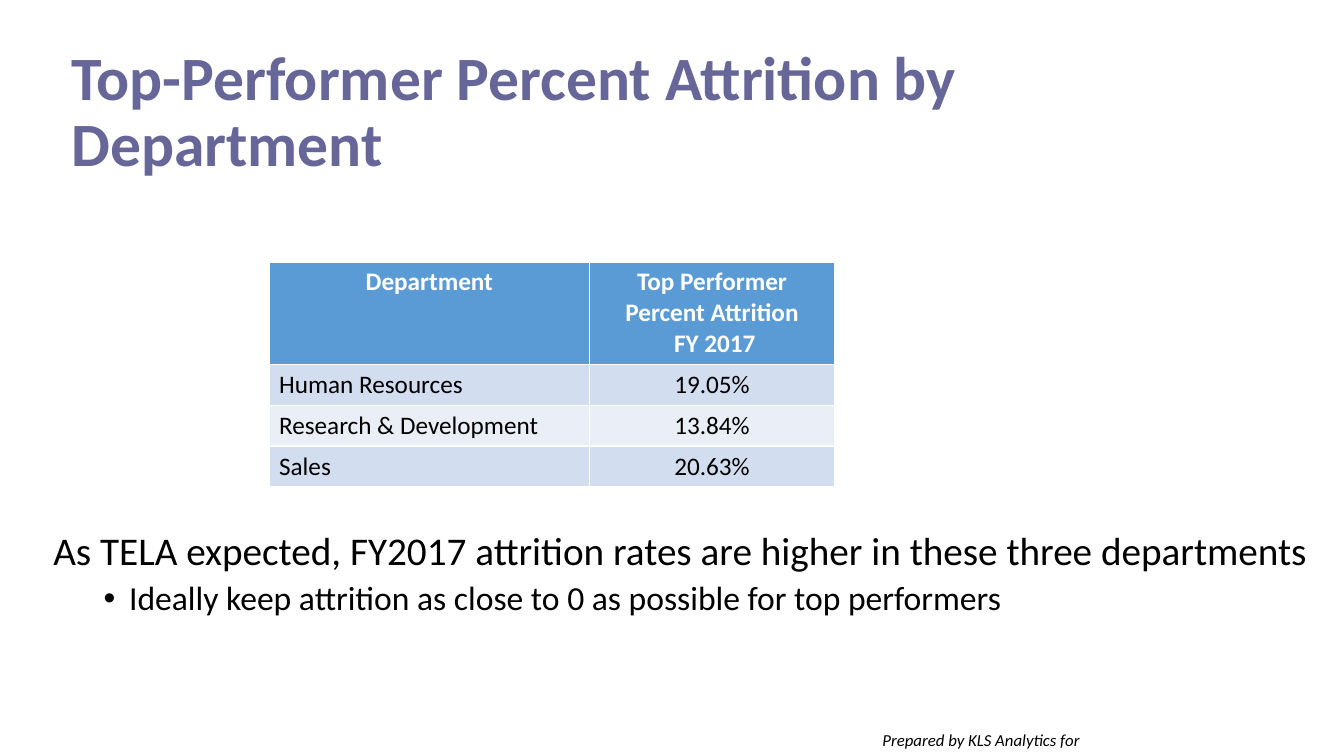
from dataclasses import dataclass

from lxml import etree
from pptx import Presentation
from pptx.dml.color import RGBColor
from pptx.enum.text import MSO_ANCHOR, MSO_AUTO_SIZE, PP_ALIGN
from pptx.oxml.ns import qn
from pptx.util import Cm, Pt

LEFT, CENTER, RIGHT = PP_ALIGN.LEFT, PP_ALIGN.CENTER, PP_ALIGN.RIGHT
TOP, MIDDLE = MSO_ANCHOR.TOP, MSO_ANCHOR.MIDDLE
NO_FIT = MSO_AUTO_SIZE.NONE

HEADLINE = "Top-Performer Percent Attrition by Department"
ATTRITION = [
    ("Department", "Top Performer Percent Attrition\n FY 2017"),
    ("Human Resources", "19.05%"),
    ("Research & Development", "13.84%"),
    ("Sales", "20.63%"),
]
FINDINGS = [
    "As TELA expected, FY2017 attrition rates are higher in these three departments",
    "Ideally keep attrition as close to 0 as possible for top performers",
]
CREDIT = "Prepared by KLS Analytics for "

SLIDE_SIZE = (33.87, 19.05)
HEADLINE_BOX = (1.55, 1.02, 30, 3.68)
FINDINGS_BOX = (1.09, 13.28, 32.23, 3.86)
TABLE_BOX = (6.78, 6.6, 14.25, 5.64)
CREDIT_BOX = (17.27, 18.26, 10.29, 0.77)
COLUMN_WIDTHS = (8.08, 6.17)
HEADER_HEIGHT, ROW_HEIGHT = 2.55, 1.03
BULLET_MARGIN, BULLET_HANG = 1.91, 0.64


@dataclass(frozen=True)
class Theme:
    font: str = "Calibri"
    accent: str = "666699"
    ink: str = "000000"
    header: str = "5B9BD5"
    header_ink: str = "FFFFFF"
    bands: tuple = ("D2DEEF", "EAEFF7")
    headline_size: int = 44
    findings_sizes: tuple = (28, 24)
    table_size: int = 18
    credit_size: int = 12


THEME = Theme()


def assign(target, values):
    for name, value in values.items():
        setattr(target, name, value)


def place(part, box):
    assign(part, dict(zip(("left", "top", "width", "height"), map(Cm, box))))


def style(paragraph, size, color, bold=False, italic=False, **layout):
    assign(paragraph, layout)
    for run in paragraph.runs:
        assign(run.font, {"name": THEME.font, "size": Pt(size), "bold": bold, "italic": italic})
        run.font.color.rgb = RGBColor.from_string(color)


def set_bullet(paragraph, margin, hang, symbol):
    properties = paragraph._p.get_or_add_pPr()
    properties.set("marL", str(Cm(margin)))
    properties.set("indent", str(-Cm(hang)))
    if symbol:
        font = etree.SubElement(properties, qn("a:buFont"))
        font.set("typeface", "Arial")
        etree.SubElement(properties, qn("a:buChar")).set("char", symbol)
    else:
        etree.SubElement(properties, qn("a:buNone"))


def add_headline(slide):
    headline = slide.shapes.title
    place(headline, HEADLINE_BOX)
    headline.text = HEADLINE
    assign(headline.text_frame,
           {"vertical_anchor": MIDDLE, "word_wrap": True, "auto_size": NO_FIT})
    style(headline.text_frame.paragraphs[0], THEME.headline_size, THEME.accent,
          bold=True, alignment=LEFT, line_spacing=0.9)


def add_findings(slide):
    findings = slide.placeholders[1]
    place(findings, FINDINGS_BOX)
    findings.text = "\n".join(FINDINGS)
    assign(findings.text_frame,
           {"vertical_anchor": TOP, "word_wrap": True, "auto_size": NO_FIT})
    bullets = ((0, 0, None), (BULLET_MARGIN, BULLET_HANG, "•"))
    for level, finding in enumerate(findings.text_frame.paragraphs):
        style(finding, THEME.findings_sizes[level], THEME.ink, level=level,
              alignment=LEFT, line_spacing=0.9, space_before=Pt((10, 5)[level]))
        set_bullet(finding, *bullets[level])


def add_attrition_table(slide):
    table = slide.shapes.add_table(
        len(ATTRITION), len(COLUMN_WIDTHS), *map(Cm, TABLE_BOX)).table
    for column, width in zip(table.columns, COLUMN_WIDTHS):
        column.width = Cm(width)
    for row, entries in enumerate(ATTRITION):
        is_header = row == 0
        table.rows[row].height = Cm(HEADER_HEIGHT if is_header else ROW_HEIGHT)
        fill = THEME.header if is_header else THEME.bands[(row - 1) % 2]
        ink = THEME.header_ink if is_header else THEME.ink
        for column, entry in enumerate(entries):
            cell = table.cell(row, column)
            cell.text = entry
            cell.fill.solid()
            cell.fill.fore_color.rgb = RGBColor.from_string(fill)
            for line in cell.text_frame.paragraphs:
                style(line, THEME.table_size, ink, bold=is_header,
                      alignment=CENTER if is_header or column else LEFT)


def add_credit(slide):
    credit = slide.shapes.add_textbox(*map(Cm, CREDIT_BOX)).text_frame
    assign(credit, {"word_wrap": True, "text": CREDIT})
    style(credit.paragraphs[0], THEME.credit_size, THEME.ink, italic=True, alignment=RIGHT)


def main():
    """Build the slide on top-performer attrition by department."""
    deck = Presentation()
    assign(deck, dict(zip(("slide_width", "slide_height"), map(Cm, SLIDE_SIZE))))
    slide = deck.slides.add_slide(deck.slide_layouts[1])
    for add_part in (add_headline, add_findings, add_attrition_table, add_credit):
        add_part(slide)
    deck.save("out.pptx")


if __name__ == "__main__":
    main()
